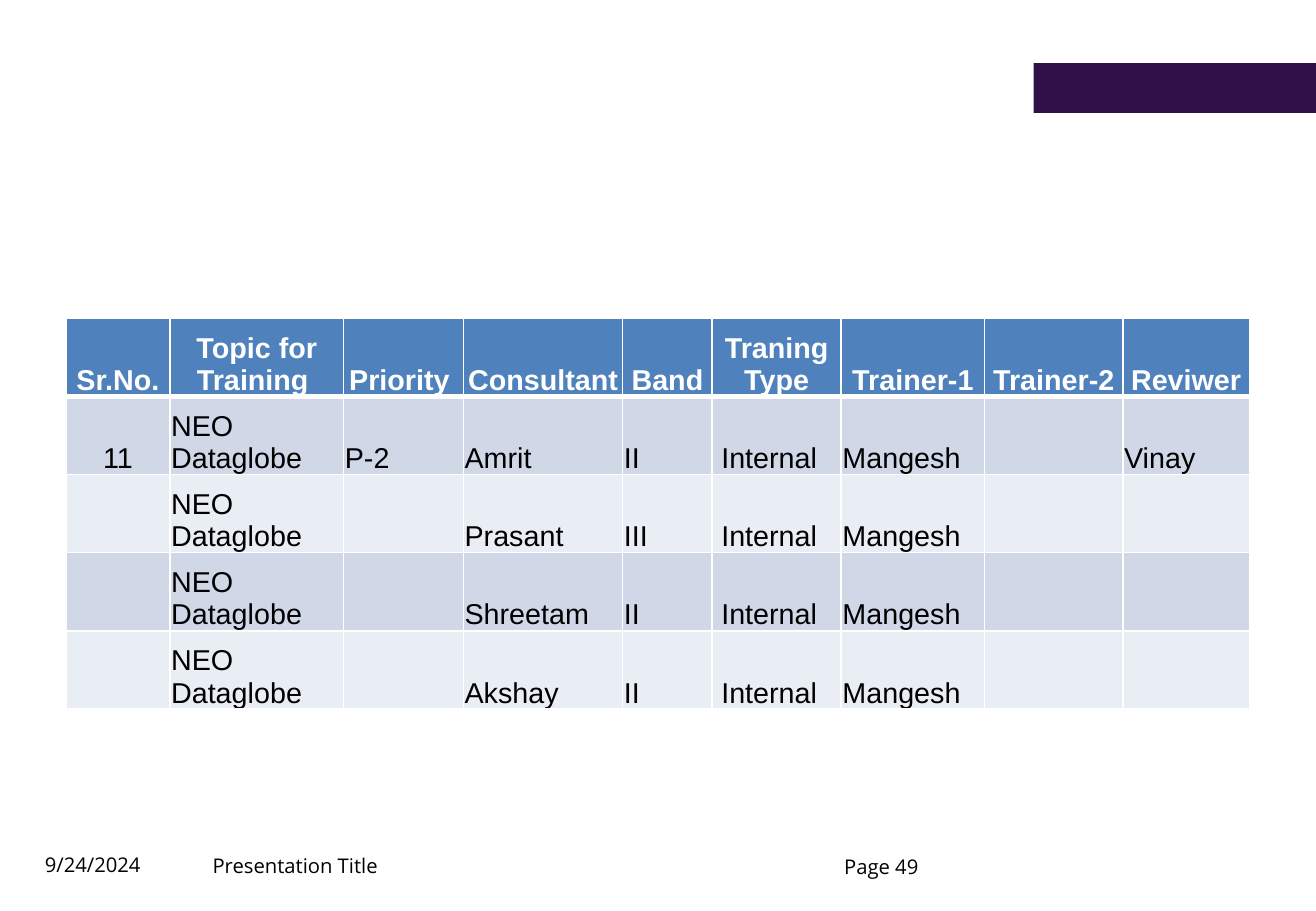
import pptx
import pptx.dml.color
import pptx.enum.shapes
import pptx.enum.text
import pptx.oxml
import pptx.oxml.ns
import pptx.util

Pt = pptx.util.Pt
RGBColor = pptx.dml.color.RGBColor
ANCHOR = pptx.enum.text.MSO_ANCHOR
ALIGN = pptx.enum.text.PP_ALIGN

BLACK = RGBColor(0x00, 0x00, 0x00)
WHITE = RGBColor(0xFF, 0xFF, 0xFF)
PURPLE = RGBColor(0x30, 0x10, 0x47)
HEADER_BLUE = RGBColor(0x4F, 0x81, 0xBD)
BANDS = [RGBColor(0xE9, 0xED, 0xF4), RGBColor(0xD0, 0xD8, 0xE8)]

TOPIC = "NEO Dataglobe"
ROWS = [
    ["Sr.No.", "Topic for Training ", "Priority ", "Consultant", "Band",
     "Traning Type", "Trainer-1", "Trainer-2", "Reviwer"],
    ["11", TOPIC, "P-2", "Amrit", "II", " Internal", "Mangesh", "", "Vinay"],
    ["", TOPIC, "", "Prasant", "III", " Internal", "Mangesh", "", ""],
    ["", TOPIC, "", "Shreetam", "II", " Internal", "Mangesh", "", ""],
    ["", TOPIC, "", "Akshay", "II", " Internal", "Mangesh", "", ""],
]
COL_WIDTHS = [61.5, 103, 71, 94.5, 53, 76.5, 85, 82, 75]
ROW_HEIGHT = 46.35


def add_run(p, text, font, size, color, bold=False):
    r = p.add_run()
    r.text = text
    r.font.name = font
    r.font.size = Pt(size)
    r.font.bold = bold
    r.font.color.rgb = color


def add_border(cell, side, width):
    """Draw one white edge; side is L, R, T or B, width is in points."""
    cell._tc.get_or_add_tcPr().append(pptx.oxml.parse_xml(
        f'<a:ln{side} {pptx.oxml.ns.nsdecls("a")} w="{Pt(width)}">'
        f'<a:solidFill><a:srgbClr val="{WHITE}"/></a:solidFill></a:ln{side}>'))


prs = pptx.Presentation()
prs.slide_width, prs.slide_height = Pt(780), Pt(540)
s = prs.slides.add_slide(prs.slide_layouts[6])

# Footer
for text, left, top, width, height, anchor in [
    ("9/24/2024", 26.6, 497.5, 114, 22.3, ANCHOR.BOTTOM),
    ("Page 49", 500.4, 508.3, 100, 12.2, ANCHOR.TOP),
    ("Presentation Title", 126, 498.2, 140.4, 22.3, ANCHOR.BOTTOM),
]:
    sp = s.shapes.add_textbox(Pt(left), Pt(top), Pt(width), Pt(height))
    tf = sp.text_frame
    tf.word_wrap = True
    tf.vertical_anchor = anchor
    tf.margin_left = tf.margin_right = tf.margin_top = tf.margin_bottom = 0
    p = tf.paragraphs[0]
    p.line_spacing = 0.9
    add_run(p, text, "Open Sans", 12, BLACK)

# Accent bar
sp = s.shapes.add_shape(pptx.enum.shapes.MSO_SHAPE.RECTANGLE,
                        Pt(612.7), Pt(37.4), Pt(167.3), Pt(29.5))
sp.shadow.inherit = False
sp.fill.solid()
sp.fill.fore_color.rgb = PURPLE
sp.line.fill.background()

# Training table
table = s.shapes.add_table(len(ROWS), len(COL_WIDTHS), Pt(39.2), Pt(188.6),
                           Pt(sum(COL_WIDTHS)), Pt(ROW_HEIGHT * len(ROWS))).table
for column, width in zip(table.columns, COL_WIDTHS):
    column.width = Pt(width)
for i, row in enumerate(ROWS):
    table.rows[i].height = Pt(ROW_HEIGHT)
    header = i == 0
    for j, text in enumerate(row):
        cell = table.cell(i, j)
        cell.vertical_anchor = ANCHOR.BOTTOM
        cell.margin_left = cell.margin_right = cell.margin_top = Pt(0.72)
        cell.margin_bottom = 0
        add_border(cell, "L", 1)
        add_border(cell, "R", 1)
        add_border(cell, "T", 3 if i == 1 else 1)
        add_border(cell, "B", 3 if header else 1)
        cell.fill.solid()
        cell.fill.fore_color.rgb = HEADER_BLUE if header else BANDS[i % 2]
        if text:
            p = cell.text_frame.paragraphs[0]
            p.alignment = ALIGN.CENTER if header or j == 0 else ALIGN.LEFT
            add_run(p, text, "Arial", 17, WHITE if header else BLACK, header)

prs.save("out.pptx")
